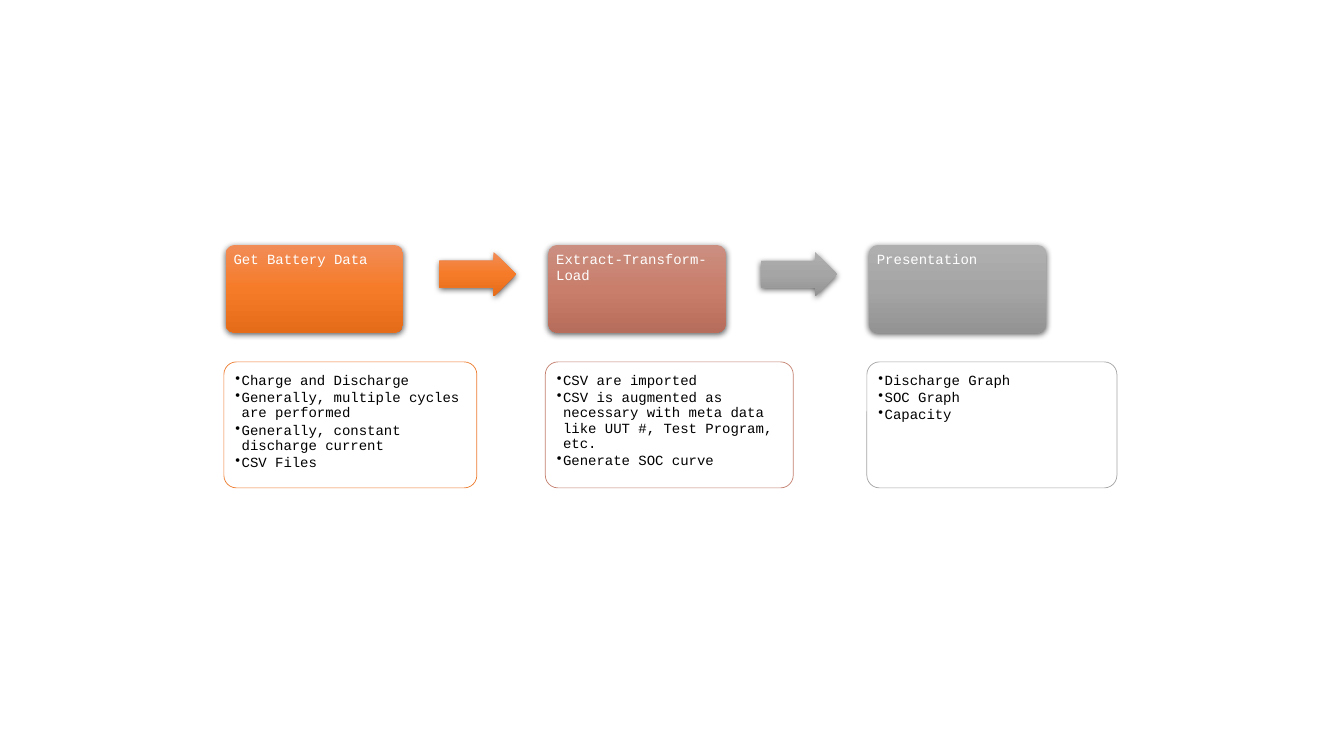
from copy import deepcopy
from dataclasses import dataclass

from lxml.etree import SubElement
from pptx import Presentation
from pptx.dml.color import RGBColor
from pptx.enum.shapes import MSO_SHAPE
from pptx.enum.text import MSO_ANCHOR
from pptx.oxml.ns import qn
from pptx.util import Pt

ROUNDED = MSO_SHAPE.ROUNDED_RECTANGLE
ARROW = MSO_SHAPE.RIGHT_ARROW
TOP = MSO_ANCHOR.TOP

FONT = "Courier New"
COLORS = {
    "white": "FFFFFF",
    "black": "000000",
    "orange line": "ED7D31",
    "rust line": "C48170",
    "gray line": "A5A5A5",
}
GRADIENTS = {
    "orange": ("F18C57", "F67B28", "E56C19"),
    "rust": ("CB8F81", "C97E6B", "B76D5B"),
    "gray": ("AFAFAF", "A5A5A5", "939393"),
}

# Layout in points
CARD_LEFT, CARD_PITCH, CARD_TOP, CARD_H = 159.9, 229.65, 258.5, 90
HEAD_TOP, HEAD_W, HEAD_H, LABEL_H = 175, 126.7, 62.6, 41.8
ARROW_LEFT, ARROW_TOP, ARROW_W, ARROW_H = 313.9, 180, 54.6, 31.7
CARD_PAD, INSET, BULLET_INDENT = 2.6, 5.6, 4.5


@dataclass
class Step:
    title: str
    color: str
    head_left: float
    card_w: float
    bullets: list[str]


STEPS = [
    Step("Get Battery Data", "orange", 161.3, 180.7,
         ["Charge and Discharge", "Generally, multiple cycles are performed",
          "Generally, constant discharge current", "CSV Files"]),
    Step("Extract-Transform-Load", "rust", 391.7, 177.1,
         ["CSV are imported",
          "CSV is augmented as necessary with meta data like UUT #, Test Program, etc.",
          "Generate SOC curve"]),
    Step("Presentation", "gray", 620.8, 178.6,
         ["Discharge Graph", "SOC Graph", "Capacity"]),
]
ARROW_COLORS = ["orange", "gray"]


def rgb(name: str) -> RGBColor:
    return RGBColor.from_string(COLORS[name])


def add_block(s, kind, x: float, y: float, w: float, h: float,
              color: str, adjustments: list[float]) -> None:
    """Shape with a vertical three-stop gradient and a soft shadow."""
    sp = s.shapes.add_shape(kind, Pt(x), Pt(y), Pt(w), Pt(h))
    for i, value in enumerate(adjustments):
        sp.adjustments[i] = value
    sp.line.fill.background()
    sp.fill.gradient()
    sp.fill.gradient_angle = 270
    stops = sp._element.spPr.find(".//" + qn("a:gsLst"))
    stops.insert(1, deepcopy(stops[0]))
    for i, (stop, tone) in enumerate(zip(sp.fill.gradient_stops, GRADIENTS[color])):
        stop.position = i / 2
        stop.color.rgb = RGBColor.from_string(tone)
    sp.shadow.inherit = False
    effects = sp._element.spPr.find(qn("a:effectLst"))
    shadow = SubElement(effects, qn("a:outerShdw"), blurRad=str(Pt(4.5)),
                        dist=str(Pt(1.5)), dir="5400000", algn="ctr", rotWithShape="0")
    tone = SubElement(shadow, qn("a:srgbClr"), val=COLORS["black"])
    SubElement(tone, qn("a:alpha"), val="63000")


def add_card(s, x: float, w: float, line: str) -> None:
    """Outlined white panel."""
    sp = s.shapes.add_shape(ROUNDED, Pt(x), Pt(CARD_TOP), Pt(w), Pt(CARD_H))
    sp.adjustments[0] = 0.1
    sp.shadow.inherit = False
    sp.fill.solid()
    sp.fill.fore_color.rgb = rgb("white")
    tone = sp._element.spPr.find(qn("a:solidFill") + "/" + qn("a:srgbClr"))
    SubElement(tone, qn("a:alpha"), val="90000")
    sp.line.color.rgb = rgb(line)
    sp.line.width = Pt(0.5)


def add_text(s, x: float, y: float, w: float, h: float, lines: list[str],
             color: str, after: float, bottom: float, bulleted: bool) -> None:
    tf = s.shapes.add_textbox(Pt(x), Pt(y), Pt(w), Pt(h)).text_frame
    tf.word_wrap = True
    tf.vertical_anchor = TOP
    tf.margin_left = tf.margin_top = tf.margin_right = Pt(INSET)
    tf.margin_bottom = Pt(bottom)
    tf.text = "\n".join(lines)
    for p in tf.paragraphs:
        if bulleted:
            props = p._p.get_or_add_pPr()
            props.set("marL", str(Pt(BULLET_INDENT)))
            props.set("indent", str(-Pt(BULLET_INDENT)))
            SubElement(props, qn("a:buChar"), char="•")
        p.line_spacing = 0.9
        p.space_after = Pt(after)
        p.font.name = FONT
        p.font.size = Pt(10)
        p.font.color.rgb = rgb(color)


def main() -> None:
    prs = Presentation()
    prs.slide_width, prs.slide_height = Pt(960), Pt(540)
    s = prs.slides.add_slide(prs.slide_layouts[6])

    # Steps: heading block above a card of details
    for i, step in enumerate(STEPS):
        add_block(s, ROUNDED, step.head_left, HEAD_TOP, HEAD_W, HEAD_H,
                  step.color, [0.1])
        add_text(s, step.head_left, HEAD_TOP, HEAD_W, LABEL_H, [step.title],
                 "white", 3.5, 3, False)
        x = CARD_LEFT + i * CARD_PITCH
        add_card(s, x, step.card_w, f"{step.color} line")
        add_text(s, x + CARD_PAD, CARD_TOP + CARD_PAD, step.card_w - 2 * CARD_PAD,
                 CARD_H - 2 * CARD_PAD, step.bullets, "black", 1.5, INSET, True)

    # Arrows between the steps
    for i, color in enumerate(ARROW_COLORS):
        add_block(s, ARROW, ARROW_LEFT + i * CARD_PITCH, ARROW_TOP,
                  ARROW_W, ARROW_H, color, [0.6, 0.5])

    prs.save("out.pptx")


if __name__ == "__main__":
    main()
